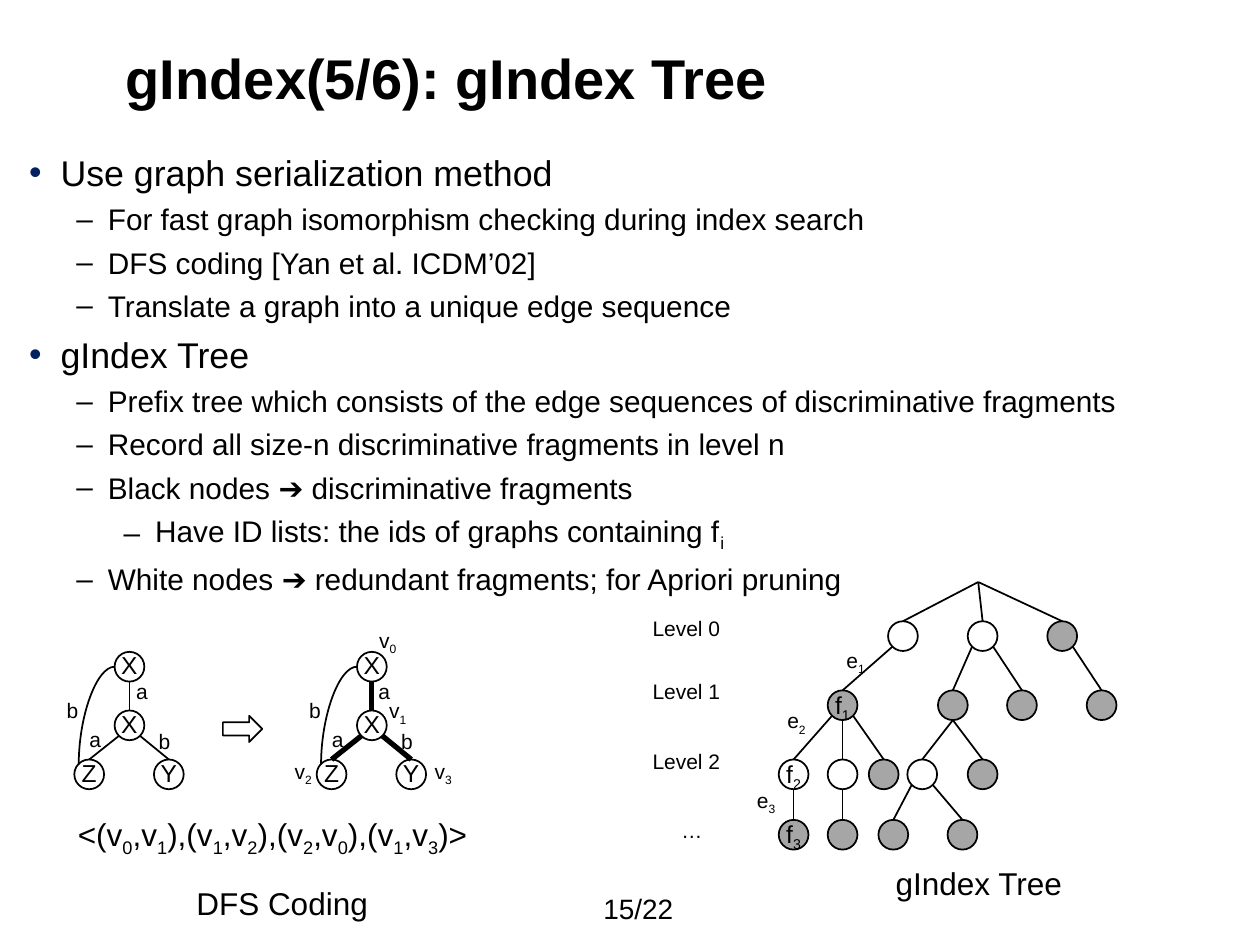
from dataclasses import dataclass

from lxml.etree import SubElement
from pptx import Presentation
from pptx.dml.color import RGBColor
from pptx.enum.shapes import MSO_CONNECTOR as LINK, MSO_SHAPE as SHAPE
from pptx.enum.text import MSO_ANCHOR as ANCHOR, MSO_AUTO_SIZE as FIT, PP_ALIGN as ALIGN
from pptx.oxml.ns import qn
from pptx.util import Pt

RADIUS = 8.5
DIAGONAL = 6  # offset of a point at 45 degrees on a node's rim


def color(hex_code):
    return RGBColor.from_string(hex_code)


@dataclass
class TreeNode:
    x: float
    dark: bool = True
    label: str = ""
    children: tuple = ()
    from_bottom: bool = False


class Deck:
    font = "Arial"
    ink = "000000"
    accent = "002060"
    gray = "A6A6A6"

    def __init__(self):
        self.prs = Presentation()
        self.prs.slide_width, self.prs.slide_height = Pt(720), Pt(540)
        self.slide = self.prs.slides.add_slide(self.prs.slide_layouts[6])

    def add_text(self, paragraph, text, size, bold=False):
        """Add text in which an underscore makes the next character a subscript."""
        first, *rest = text.split("_")
        pieces = [(first, False)]
        for part in rest:
            pieces += [(part[0], True), (part[1:], False)]
        for piece, lowered in pieces:
            if not piece:
                continue
            run = paragraph.add_run()
            run.text = piece
            run.font.name, run.font.size, run.font.bold = self.font, Pt(size), bold
            run.font.color.rgb = color(self.ink)
            if lowered:
                run._r.get_or_add_rPr().set("baseline", "-25000")

    def box(self, x, y, width, height, anchor=ANCHOR.TOP):
        frame = self.slide.shapes.add_textbox(Pt(x), Pt(y), Pt(width), Pt(height)).text_frame
        frame.word_wrap = True
        frame.vertical_anchor = anchor
        return frame

    def label(self, text, x, y, width, size=12):
        frame = self.box(x, y, width, 21.6 if size == 12 else 29)
        frame.word_wrap = False
        frame.auto_size = FIT.SHAPE_TO_FIT_TEXT
        self.add_text(frame.paragraphs[0], text, size)

    def outline(self, items, x, y, width, height):
        frame = self.box(x, y, width, height)
        frame.margin_left = frame.margin_right = frame.margin_bottom = 0
        frame.margin_top = Pt(2)
        styles = [(18, 20.4, 5.2, "•", self.accent),
                  (45, 17, 4.3, "–", self.ink),
                  (72, 17, 4.3, "–", self.ink)]
        for index, (level, text) in enumerate(items):
            indent, size, gap, mark, mark_color = styles[level]
            paragraph = frame.add_paragraph() if index else frame.paragraphs[0]
            paragraph.level = level
            paragraph.space_before = Pt(gap if index else 0)
            props = paragraph._p.get_or_add_pPr()
            props.set("marL", str(Pt(indent)))
            props.set("indent", str(Pt(-18)))
            SubElement(SubElement(props, qn("a:buClr")), qn("a:srgbClr"), val=mark_color)
            SubElement(props, qn("a:buFont"), typeface=self.font)
            SubElement(props, qn("a:buChar"), char=mark)
            self.add_text(paragraph, text, size)

    def shape(self, kind, x, y, width, height, fill=None):
        shape = self.slide.shapes.add_shape(kind, Pt(x), Pt(y), Pt(width), Pt(height))
        shape.shadow.inherit = False
        if fill:
            shape.fill.solid()
            shape.fill.fore_color.rgb = color(fill)
        else:
            shape.fill.background()
        shape.line.color.rgb = color(self.ink)
        shape.line.width = Pt(1)
        return shape

    def node(self, x, y, text="", dark=False):
        circle = self.shape(SHAPE.OVAL, x - RADIUS, y - RADIUS, 2 * RADIUS, 2 * RADIUS,
                            self.gray if dark else None)
        if text:
            frame = circle.text_frame
            frame.word_wrap = False
            frame.vertical_anchor = ANCHOR.MIDDLE
            paragraph = frame.paragraphs[0]
            paragraph.alignment = ALIGN.CENTER
            paragraph.line_spacing = 0.9
            self.add_text(paragraph, text, 14)

    def line(self, start, end, width=1, kind=LINK.STRAIGHT):
        line = self.slide.shapes.add_connector(kind, *map(Pt, (*start, *end)))
        line.line.color.rgb = color(self.ink)
        line.line.width = Pt(width)
        props = line.element.spPr
        SubElement(props, qn("a:effectLst"))
        if kind == LINK.CURVE:
            props.find(qn("a:prstGeom")).set("prst", "curvedConnector2")

    def edge(self, parent, child, width=1, from_bottom=False):
        """Join a parent's lower rim, on the child's side, to the top of the child."""
        (px, py), (cx, cy) = parent, child
        if from_bottom or px == cx:
            start = (px, py + RADIUS)
        else:
            start = (px + (DIAGONAL if cx > px else -DIAGONAL), py + DIAGONAL)
        self.line(start, (cx, cy - RADIUS), width)

    def labeled_graph(self, left, edge_width):
        top, middle = (left + 23, 381), (left + 23, 414.5)
        z, y = (left, 442.5), (left + 45.5, 442.5)
        for center, text in ((top, "X"), (middle, "X"), (z, "Z"), (y, "Y")):
            self.node(*center, text)
        for parent, child in ((top, middle), (middle, z), (middle, y)):
            self.edge(parent, child, edge_width)
        self.line((top[0] - RADIUS, top[1]), (left - DIAGONAL, 437), kind=LINK.CURVE)
        for text, dx, label_y in (("b", -20, 395.3), ("a", 19.7, 384.5),
                                  ("b", 32.6, 412.6), ("a", -7, 411.8)):
            self.label(text, left + dx, label_y, 20.9)

    def tree(self, node, level_ys):
        y, *lower_ys = level_ys
        self.node(node.x, y, node.label, node.dark)
        for child in node.children:
            self.tree(child, lower_ys)
            self.edge((node.x, y), (child.x, lower_ys[0]), from_bottom=node.from_bottom)


def main():
    deck = Deck()
    title = deck.box(64.8, 20.9, 596.9, 46, ANCHOR.BOTTOM)
    deck.add_text(title.paragraphs[0], "gIndex(5/6): gIndex Tree", 32, bold=True)
    deck.outline([
        (0, "Use graph serialization method"),
        (1, "For fast graph isomorphism checking during index search"),
        (1, "DFS coding [Yan et al. ICDM’02]"),
        (1, "Translate a graph into a unique edge sequence"),
        (0, "gIndex Tree"),
        (1, "Prefix tree which consists of the edge sequences of discriminative fragments"),
        (1, "Record all size-n discriminative fragments in level n"),
        (1, "Black nodes ➔ discriminative fragments"),
        (2, "Have ID lists: the ids of graphs containing f_i"),
        (1, "White nodes ➔ redundant fragments; for Apriori pruning"),
    ], 16.6, 84.2, 686, 242.6)

    for left, edge_width in ((51, 1), (189.5, 3)):
        deck.labeled_graph(left, edge_width)
    for text, x, y in (("v_0", 209.5, 355), ("v_1", 215.3, 395.3),
                       ("v_2", 161.3, 429.8), ("v_3", 241.2, 429.8)):
        deck.label(text, x, y, 25.2)
    deck.shape(SHAPE.RIGHT_ARROW, 127.4, 409, 22.5, 15)
    deck.label("<(v_0,v_1),(v_1,v_2),(v_2,v_0),(v_1,v_3)>", 37.4, 462.2, 249, 18)
    deck.label("DFS Coding", 105.1, 501.8, 113.8, 18)

    branches = (
        TreeNode(516, False, children=(
            TreeNode(481.5, label="f_1", children=(
                TreeNode(453.5, False, "f_2", (TreeNode(453.5, label="f_3"),)),
                TreeNode(481.5, False, children=(TreeNode(481.5),)),
                TreeNode(505))),)),
        TreeNode(561.5, False, children=(
            TreeNode(544.5, from_bottom=True, children=(
                TreeNode(527, False, children=(TreeNode(510.5), TreeNode(550))),
                TreeNode(561.5))),
            TreeNode(584))),
        TreeNode(607, children=(TreeNode(629.5),)),
    )
    level_ys = (363.5, 403, 442.5, 477)
    for branch in branches:
        deck.tree(branch, level_ys)
        deck.line((branch.x, level_ys[0] - RADIUS), (559, 332.6))
    for text, x, y in (("e_1", 476.6, 366.5), ("e_2", 442.8, 401), ("e_3", 425.5, 446.4)):
        deck.label(text, x, y, 25.9)
    for level, y in enumerate((348.5, 384.5, 424.1)):
        deck.label(f"Level {level}", 365.8, y, 53.3)
    deck.label("…", 382.3, 463.7, 26.6)
    deck.label("gIndex Tree", 504.7, 490.3, 110.2, 18)

    page = deck.box(337.7, 508.3, 61.9, 20.9, ANCHOR.MIDDLE)
    deck.add_text(page.paragraphs[0], "15/22", 16)
    deck.prs.save("out.pptx")


if __name__ == "__main__":
    main()
